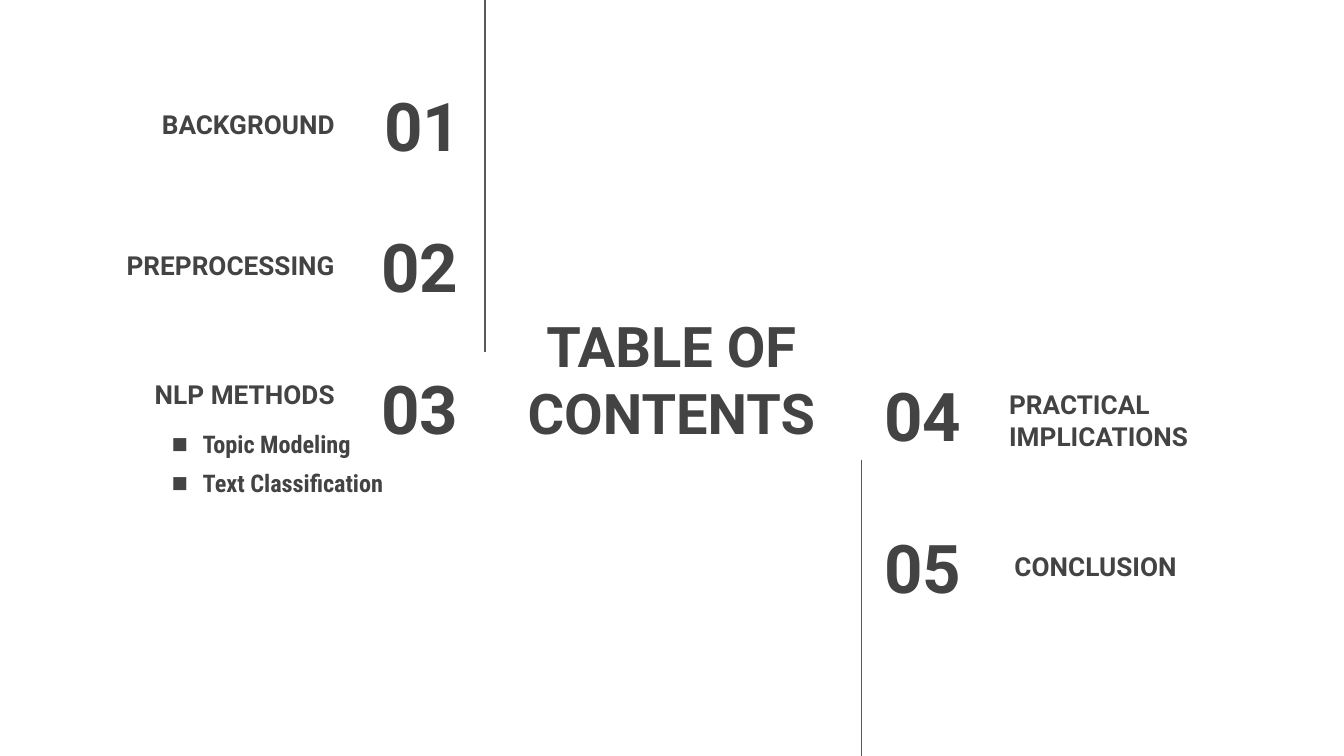
import pptx
import pptx.util
import pptx.dml.color
import pptx.enum.shapes
import pptx.enum.text
import lxml.etree

Inches, Pt = pptx.util.Inches, pptx.util.Pt
ALIGN = pptx.enum.text.PP_ALIGN
LEFT, RIGHT, MID = ALIGN.LEFT, ALIGN.RIGHT, ALIGN.CENTER

THEME = {
    "ink": "434343", "rule": "595959", "back": "FFFFFF",
    "font": "Roboto", "slim": "Roboto Condensed",
    "title": 30, "num": 36, "head": 14, "point": 13, "line": 0.75,
    "bullet": 70,  # percent of the text size
}
WIDE = 10
HIGH = WIDE * 9 / 16
ROW = 0.63  # height of each number and heading box

# Content: heading lines, heading left and top; number, its left and top
LEFT_SIDE = [
    (["BACKGROUND"], 0.43, 0.61, "01", 2.32, 0.61),
    (["PREPROCESSING"], 0.43, 1.66, "02", 2.3, 1.66),
    (["NLP METHODS"], 0.43, 2.62, "03", 2.3, 2.72),
]
RIGHT_SIDE = [
    (["PRACTICAL", "IMPLICATIONS"], 7.41, 2.81, "04", 6.48, 2.77),
    (["CONCLUSION"], 7.45, 3.9, "05", 6.48, 3.9),
]
# Sides: items, text alignment, width of the number boxes
SIDES = [(LEFT_SIDE, RIGHT, 1.21), (RIGHT_SIDE, LEFT, 1.17)]
POINTS = ["Topic Modeling", "Text Classification"]
RULES = [(3.61, 0, 2.62), (6.41, 3.42, HIGH)]  # x, top, bottom


def tint(name):
    return pptx.dml.color.RGBColor.from_string(THEME[name])


def add_bullet(para):
    """Give the paragraph a square bullet with a hanging indent."""
    props = para._p.get_or_add_pPr()
    props.set("marL", str(Inches(0.26)))
    props.set("indent", str(Inches(-0.23)))
    tag = pptx.oxml.ns.qn
    color = lxml.etree.SubElement(props, tag("a:buClr"))
    lxml.etree.SubElement(color, tag("a:srgbClr"), val=THEME["ink"])
    size = str(THEME["bullet"] * 1000)
    lxml.etree.SubElement(props, tag("a:buSzPct"), val=size)
    lxml.etree.SubElement(props, tag("a:buFont"), typeface=THEME["slim"])
    lxml.etree.SubElement(props, tag("a:buChar"), char="■")


def add_text(slide, lines, box, size, align, font="font", bullet=False):
    frame = slide.shapes.add_textbox(*map(Inches, box)).text_frame
    frame.word_wrap = True
    frame.vertical_anchor = pptx.enum.text.MSO_ANCHOR.MIDDLE
    frame.margin_left = frame.margin_right = Inches(0.1)
    frame.margin_top = frame.margin_bottom = Inches(0.1)
    frame.text = "\n".join(lines)
    for i, para in enumerate(frame.paragraphs):
        para.alignment = align
        if bullet:
            add_bullet(para)
            para.line_spacing = 1.15
            if i:
                para.space_before = Pt(3)
        para.font.name = THEME[font]
        para.font.size = Pt(THEME[size])
        para.font.bold = True
        para.font.color.rgb = tint("ink")


def add_rule(slide, x, top, end):
    kind = pptx.enum.shapes.MSO_CONNECTOR.STRAIGHT
    rule = slide.shapes.add_connector(kind, *map(Inches, (x, top, x, end)))
    rule.line.color.rgb = tint("rule")
    rule.line.width = Pt(THEME["line"])
    lxml.etree.SubElement(rule._element.spPr, pptx.oxml.ns.qn("a:effectLst"))


def main():
    deck = pptx.Presentation()
    deck.slide_width, deck.slide_height = Inches(WIDE), Inches(HIGH)
    slide = deck.slides.add_slide(deck.slide_layouts[6])
    slide.background.fill.solid()
    slide.background.fill.fore_color.rgb = tint("back")

    # Title in the middle
    add_text(slide, ["TABLE OF CONTENTS"], (3.7, 2.3, 2.59, 1.03), "title", MID)

    # Numbers and headings on both sides
    for items, align, width in SIDES:
        for lines, x, y, num, num_x, num_y in items:
            add_text(slide, lines, (x, y, 2.16, ROW), "head", align)
            add_text(slide, [num], (num_x, num_y, width, ROW), "num", align)

    # Upright rules
    for rule in RULES:
        add_rule(slide, *rule)

    # Points under the third heading
    add_text(slide, POINTS, (1.15, 3, 1.82, 0.86), "point", LEFT, "slim", True)
    deck.save("out.pptx")


if __name__ == "__main__":
    main()
